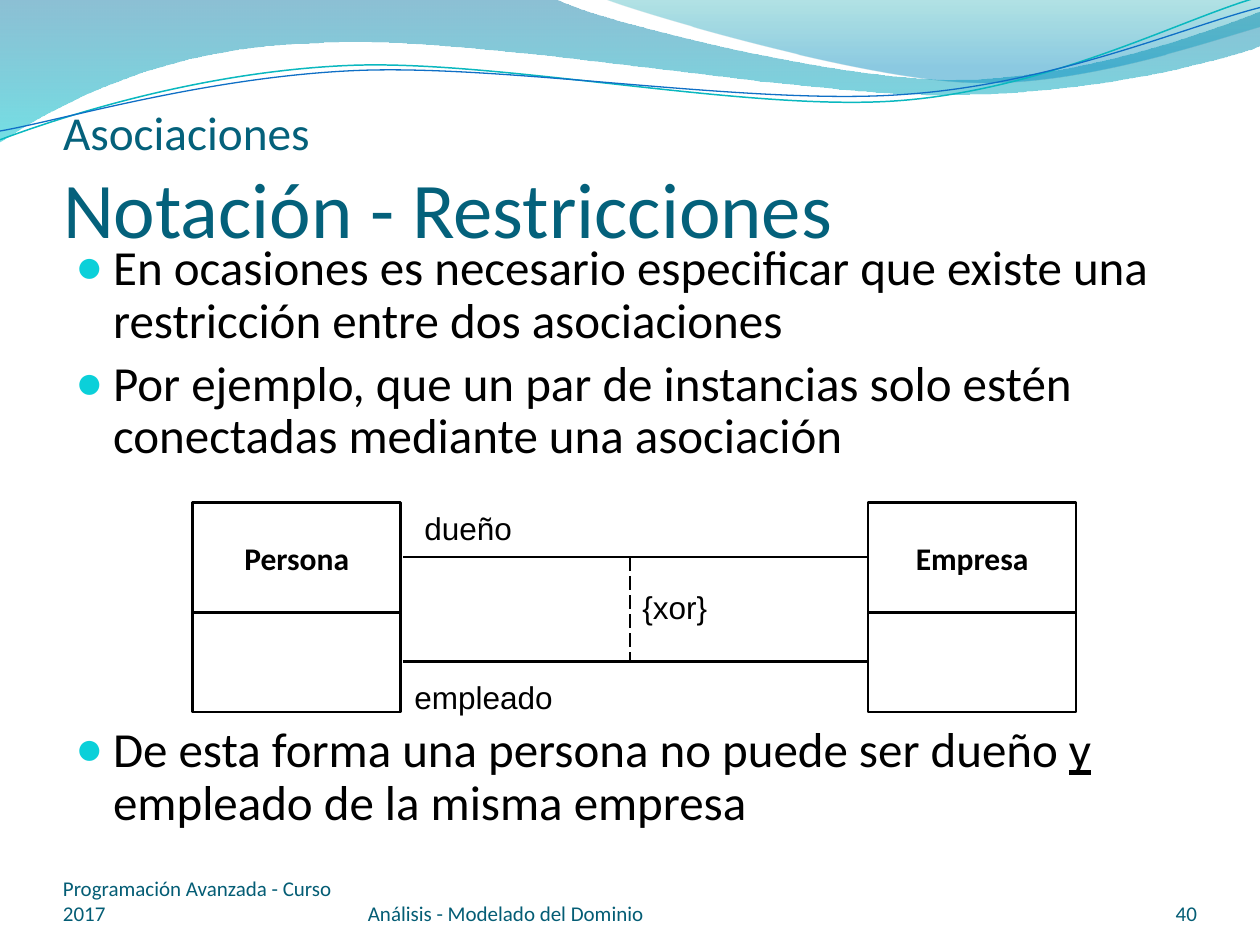
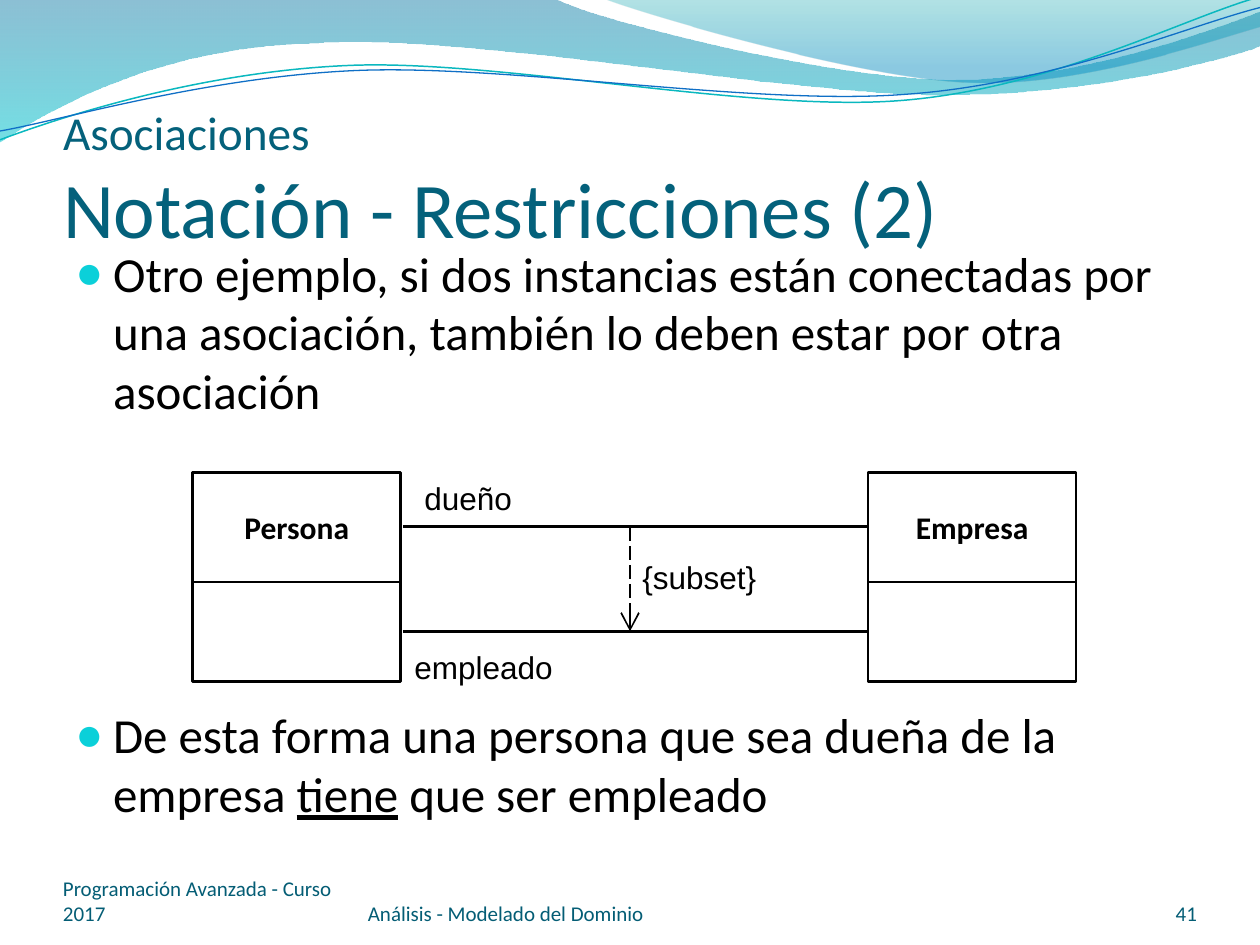
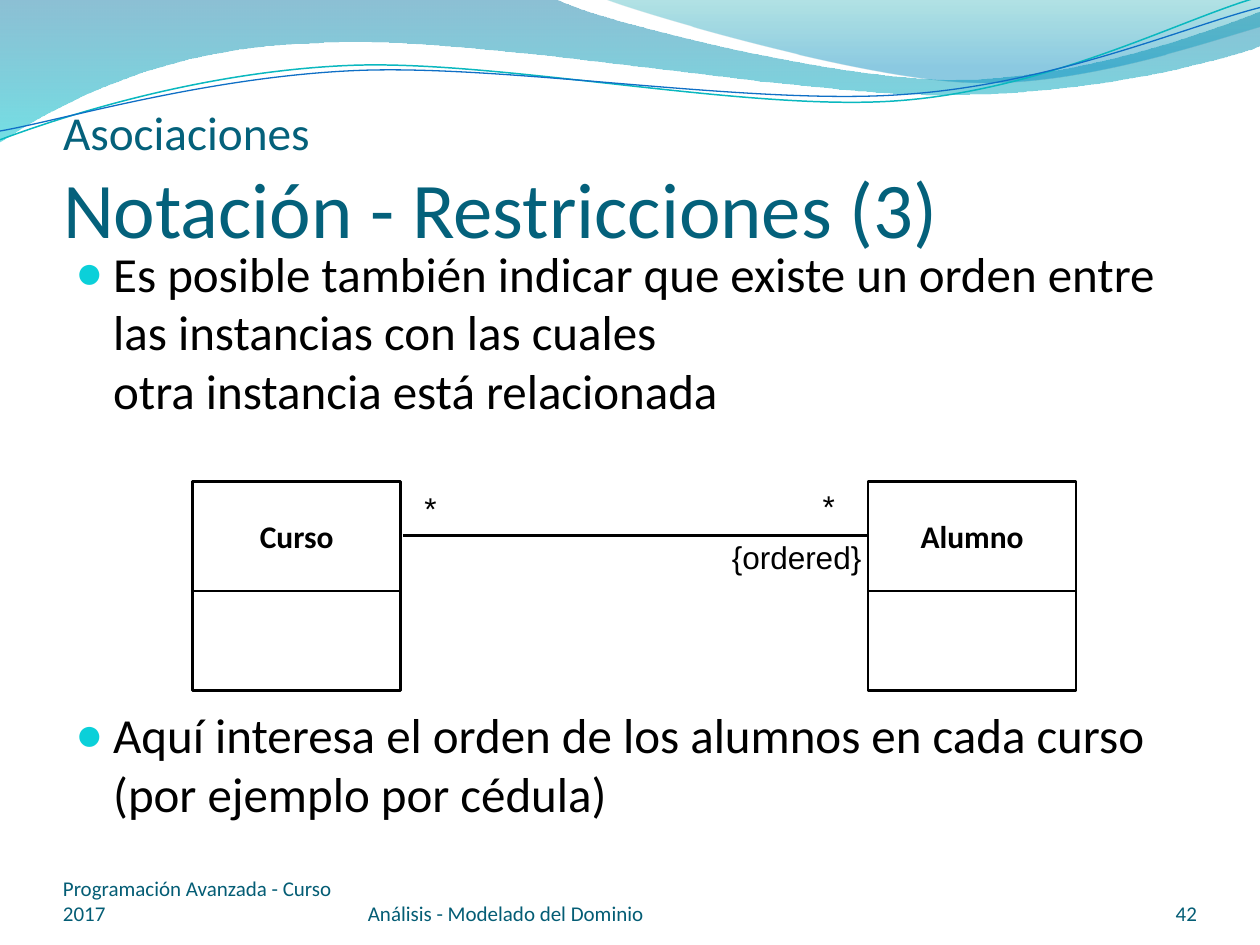
from copy import deepcopy

from lxml import etree
from pptx import Presentation
from pptx import util as u
from pptx.dml.color import RGBColor
from pptx.enum import dml, shapes, text
from pptx.oxml.ns import qn

BLACK, WHITE = "000000", "FFFFFF"
TITLE_COLOR, FOOTER_COLOR, BULLET_COLOR = "04617B", "045D75", "0BD0D9"
BODY_FONT, LABEL_FONT = "Calibri", "Arial"
FIRST_PAGE = 40

# Waves: a start point, then straight (2 numbers) or curved (6 numbers) pieces
BROAD_WAVE = [
    (0, 0), (4.4, -0.01), (4.76, 0.17, 6.64, 0.63, 7.58, 0.63),
    (8.53, 0.63, 9.58, 0.26, 10, 0.09), (10.01, 0.36),
    (9.83, 0.44, 8.7, 0.76, 7.46, 0.75), (6.22, 0.75, 3.82, 0.28, 2.57, 0.34),
    (1.29, 0.36, 0.46, 0.83, -0.01, 1.13), (0, 0)]
RIGHT_WAVE = [
    (4.79, -0.01), (5.09, 0.11, 6.82, 0.62, 7.69, 0.65),
    (8.56, 0.69, 9.61, 0.32, 10, 0.21), (10, 0), (4.79, -0.01)]
TEAL_CURVE = [
    (0, 1.11), (0.48, 0.93, 1.58, 0.57, 2.77, 0.52),
    (3.95, 0.47, 5.93, 0.89, 7.13, 0.8), (8.33, 0.71, 9.38, 0.15, 9.98, -0.02)]
BLUE_CURVE = [
    (0, 1.04), (0.47, 0.96, 1.64, 0.61, 2.83, 0.56),
    (4.03, 0.51, 5.97, 0.84, 7.17, 0.75), (8.36, 0.67, 9.41, 0.21, 10, 0.06)]


def rgb(color):
    return RGBColor.from_string(color)


def write(paragraph, words, size=18, font=BODY_FONT, color=BLACK, bold=False,
          underline=False, align=text.PP_ALIGN.LEFT):
    """Add words to a paragraph; a newline becomes a line break."""
    paragraph.alignment = align
    for number, line in enumerate(words.split("\n")):
        if number:
            paragraph.add_line_break()
            paragraph._p[-1].append(deepcopy(run.font._element))
        if not line:
            continue
        run = paragraph.add_run()
        run.text = line
        run.font.size, run.font.name = u.Pt(size), font
        run.font.bold, run.font.underline = bold, underline
        run.font.color.rgb = rgb(color)


def bend(shape, pieces):
    """Turn the straight segments of curved pieces into cubic curves."""
    segments = list(shape.element.iter(qn("a:lnTo")))
    for segment, piece in zip(segments, pieces[1:]):
        if len(piece) == 2:
            continue
        curve = etree.Element(qn("a:cubicBezTo"))
        for x, y in zip(piece[::2], piece[1::2]):
            point = etree.SubElement(curve, qn("a:pt"))
            point.set("x", str(u.Inches(x) - shape.left))
            point.set("y", str(u.Inches(y) - shape.top))
        segment.getparent().replace(segment, curve)


class Deck:
    def __init__(self):
        self.prs = Presentation()
        self.prs.slide_width, self.prs.slide_height = u.Inches(10), u.Inches(7.5)
        self.page = FIRST_PAGE - 1
        self.slide = None

    def new_slide(self, title):
        self.slide = self.prs.slides.add_slide(self.prs.slide_layouts[5])
        self.page += 1
        if self.page == FIRST_PAGE:
            self.waves()
        heading = self.slide.shapes.title
        self.place(heading, 0.5, 0.77, 9, 1.25)
        frame = self.frame(heading, text.MSO_ANCHOR.BOTTOM, (0, 0.05, 0, 0))
        write(frame.paragraphs[0], "Asociaciones\n", size=27, color=TITLE_COLOR)
        write(frame.paragraphs[0], title, size=45, color=TITLE_COLOR)

    def place(self, shape, *box):
        shape.left, shape.top, shape.width, shape.height = map(u.Inches, box)

    def frame(self, shape, anchor=text.MSO_ANCHOR.TOP, insets=(0.1, 0.05, 0.1, 0.05),
              wrap=True):
        frame = shape.text_frame
        frame.auto_size = text.MSO_AUTO_SIZE.NONE
        frame.word_wrap, frame.vertical_anchor = wrap, anchor
        (frame.margin_left, frame.margin_top,
         frame.margin_right, frame.margin_bottom) = map(u.Inches, insets)
        return frame

    def text_box(self, *box):
        return self.slide.shapes.add_textbox(*map(u.Inches, box))

    # Waves shared by all slides, kept on the master
    def waves(self):
        drawn = [
            self.wave(BROAD_WAVE, stops=[(0, "0074A1", 45), (1, "00C6CF", 55)]),
            self.wave(RIGHT_WAVE, stops=[(0, "00A1A9", 30), (0.8, "008BBF", 45)]),
            self.wave(TEAL_CURVE, line=("0AB8BF", 0.85)),
            self.wave(BLUE_CURVE, line=("0F6FC6", 0.75))]
        master = self.prs.slide_master.shapes.element
        for number, wave in enumerate(drawn):
            wave.element.nvSpPr.cNvPr.id = 101 + number
            master.insert(2 + number, wave.element)

    def wave(self, pieces, stops=None, line=None):
        start, *rest = [tuple(map(u.Inches, piece[-2:])) for piece in pieces]
        builder = self.slide.shapes.build_freeform(*start)
        builder.add_line_segments(rest, close=stops is not None)
        wave = builder.convert_to_shape()
        bend(wave, pieces)
        wave.shadow.inherit = False
        if line:
            wave.fill.background()
            wave.line.color.rgb, wave.line.width = rgb(line[0]), u.Pt(line[1])
            return wave
        wave.line.fill.background()
        wave.fill.gradient()
        wave.fill.gradient_angle = 270
        for stop, (position, color, alpha) in zip(wave.fill.gradient_stops, stops):
            stop.position, stop.color.rgb = position, rgb(color)
        for tint, stop in zip(wave.element.iter(qn("a:srgbClr")), stops):
            etree.SubElement(tint, qn("a:alpha")).set("val", str(stop[2] * 1000))
        return wave

    def bullets(self, items, gap, spacing=None):
        """Write bullets; the last one follows a gap left for the diagram."""
        frame = self.frame(self.text_box(0.5, 1.88, 9, 5.26))
        for number, runs in enumerate(items):
            paragraph = frame.paragraphs[0] if number == 0 else frame.add_paragraph()
            for words, underline in runs:
                write(paragraph, words, size=28, underline=underline)
            paragraph.line_spacing = spacing
            paragraph.space_before = u.Pt(gap if number == len(items) - 1 else 5.6)
            props = paragraph._p.get_or_add_pPr()
            props.set("marL", str(u.Inches(0.3)))
            props.set("indent", str(-u.Inches(0.3)))
            color = etree.SubElement(props, qn("a:buClr"))
            etree.SubElement(color, qn("a:srgbClr")).set("val", BULLET_COLOR)
            etree.SubElement(props, qn("a:buSzPct")).set("val", "95000")
            etree.SubElement(props, qn("a:buFont")).set("typeface", LABEL_FONT)
            etree.SubElement(props, qn("a:buChar")).set("char", "●")

    # Class diagram
    def class_box(self, left, top, name):
        for y, height, words in ((top, 0.87, name), (top + 0.87, 0.79, "")):
            part = self.slide.shapes.add_shape(
                shapes.MSO_SHAPE.RECTANGLE, *map(u.Inches, (left, y, 1.65, height)))
            part.shadow.inherit = False
            part.fill.solid()
            part.fill.fore_color.rgb = rgb(WHITE)
            part.line.color.rgb, part.line.width = rgb(BLACK), u.Pt(1.5)
            if words:
                frame = self.frame(part, text.MSO_ANCHOR.MIDDLE, wrap=False)
                write(frame.paragraphs[0], words, bold=True, align=text.PP_ALIGN.CENTER)

    def line(self, x1, y1, x2, y2, width=1.5, dashed=False, arrow=False):
        link = self.slide.shapes.add_connector(
            shapes.MSO_CONNECTOR.STRAIGHT, *map(u.Inches, (x1, y1, x2, y2)))
        link.line.color.rgb, link.line.width = rgb(BLACK), u.Pt(width)
        if dashed:
            link.line.dash_style = dml.MSO_LINE.LONG_DASH
        if arrow:
            tip = etree.SubElement(link.line._get_or_add_ln(), qn("a:tailEnd"))
            for key, value in (("type", "arrow"), ("w", "lg"), ("len", "lg")):
                tip.set(key, value)
        etree.SubElement(link.element.spPr, qn("a:effectLst"))

    def label(self, left, top, width, words):
        frame = self.frame(self.text_box(left, top, width, 0.4), wrap=False)
        frame.auto_size = text.MSO_AUTO_SIZE.SHAPE_TO_FIT_TEXT
        write(frame.paragraphs[0], words, font=LABEL_FONT)

    def association(self, top, left_class, right_class):
        self.class_box(1.53, top, left_class)
        self.class_box(6.89, top, right_class)
        self.line(3.2, top + 0.43, 6.88, top + 0.43)

    def constrained_pair(self, top, constraint, width, arrow=False):
        """Two associations with a dashed constraint between them."""
        self.association(top, "Persona", "Empresa")
        self.line(3.2, top + 1.26, 6.88, top + 1.26)
        self.label(3.27, top, 0.9, "dueño")
        self.label(3.19, top + 1.34, 1.3, "empleado")
        self.line(5, top + 0.43, 5, top + 1.26, width=1, dashed=True, arrow=arrow)
        self.label(5, top + 0.63, width, constraint)

    def footer(self):
        for left, width, words, align in (
                (0.5, 2.33, "Programación Avanzada - Curso 2017", text.PP_ALIGN.LEFT),
                (2.92, 3.67, "Análisis - Modelado del Dominio", text.PP_ALIGN.LEFT),
                (8.67, 0.83, str(self.page), text.PP_ALIGN.RIGHT)):
            frame = self.frame(self.text_box(left, 6.95, width, 0.4),
                               text.MSO_ANCHOR.BOTTOM, (0, 0, 0, 0))
            write(frame.paragraphs[0], words, size=12, color=FOOTER_COLOR, align=align)


deck = Deck()

# Exclusive associations
deck.new_slide("Notación - Restricciones")
deck.bullets([
    [("En ocasiones es necesario especificar que existe una restricción "
      "entre dos asociaciones", False)],
    [("Por ejemplo, que un par de instancias solo estén conectadas "
      "mediante una asociación", False)],
    [("De esta forma una persona no puede ser dueño ", False), ("y", True),
     (" empleado de la misma empresa", False)],
], gap=149, spacing=0.9)
deck.constrained_pair(3.99, "{xor}", 0.72)
deck.footer()

# One association contained in another
deck.new_slide("Notación - Restricciones (2)")
deck.bullets([
    [("Otro ejemplo, si dos instancias están conectadas por una asociación, "
      "también lo deben estar por otra asociación", False)],
    [("De esta forma una persona que sea dueña de la empresa ", False),
     ("tiene", True), (" que ser empleado", False)],
], gap=163)
deck.constrained_pair(3.75, "{subset}", 1.12, arrow=True)
deck.footer()

# Ordered association
deck.new_slide("Notación - Restricciones (3)")
deck.bullets([
    [("Es posible también indicar que existe un orden entre las instancias "
      "con las cuales \notra instancia está relacionada", False)],
    [("Aquí interesa el orden de los alumnos en cada curso "
      "(por ejemplo por cédula)", False)],
], gap=163)
ORDER_TOP = 3.82
deck.association(ORDER_TOP, "Curso", "Alumno")
deck.label(6.43, ORDER_TOP, 0.3, "*")
deck.label(5.71, ORDER_TOP + 0.4, 1.23, "{ordered}")
deck.label(3.27, ORDER_TOP + 0.01, 0.3, "*")
deck.footer()

deck.prs.save("out.pptx")
